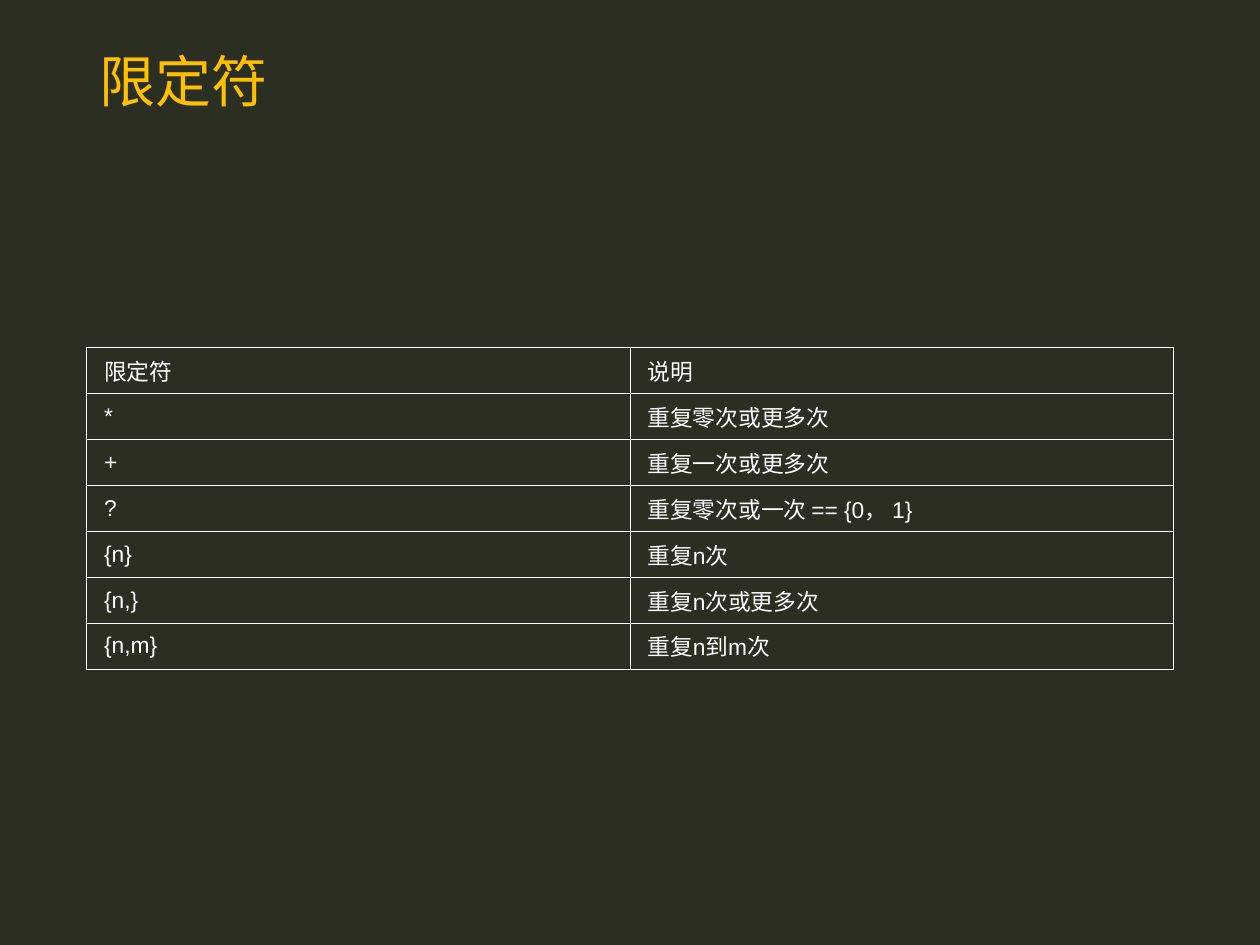
from dataclasses import dataclass

from lxml import etree
from pptx import Presentation
from pptx.dml.color import RGBColor
from pptx.enum.text import MSO_ANCHOR, PP_ALIGN
from pptx.oxml.ns import qn
from pptx.util import Cm, Pt

LEFT = PP_ALIGN.LEFT
MIDDLE = MSO_ANCHOR.MIDDLE


@dataclass
class Theme:
    back: str = "2A2F21"
    gold: str = "FFC000"
    white: str = "FFFFFF"
    latin: str = "Arial"
    asian: str = "Noto Sans CJK SC"
    head: float = 32
    body: float = 13
    rule: float = 0.45


theme = Theme()


def style(para, size, color, face):
    para.alignment = LEFT
    for run in para.runs:
        font = run.font
        font.size = Pt(size)
        font.bold = False
        font.color.rgb = RGBColor.from_string(color)
        font.name = face
        etree.SubElement(run._r.get_or_add_rPr(), qn("a:ea"), typeface=theme.asian)


def border(cell):
    props = cell._tc.get_or_add_tcPr()
    for spot, side in enumerate(("lnL", "lnR", "lnT", "lnB")):
        line = etree.Element(qn(f"a:{side}"), w=str(Pt(theme.rule)))
        fill = etree.SubElement(line, qn("a:solidFill"))
        etree.SubElement(fill, qn("a:srgbClr"), val=theme.white)
        props.insert(spot, line)


deck = Presentation()
deck.slide_width, deck.slide_height = Cm(25.4), Cm(19.05)
slide = deck.slides.add_slide(deck.slide_layouts[5])
slide.background.fill.solid()
slide.background.fill.fore_color.rgb = RGBColor.from_string(theme.back)

left, width = Cm(1.75), Cm(21.91)

title = slide.shapes.title
title.left, title.top, title.width, title.height = left, Cm(0.56), width, Cm(2.29)
frame = title.text_frame
frame.text = "限定符"
frame.vertical_anchor = MIDDLE
frame.paragraphs[0].line_spacing = 0.9
style(frame.paragraphs[0], theme.head, theme.gold, theme.asian)

rows = [
    ("限定符", "说明"),
    ("*", "重复零次或更多次"),
    ("+", "重复一次或更多次"),
    ("?", "重复零次或一次 == {0， 1}"),
    ("{n}", "重复n次"),
    ("{n,}", "重复n次或更多次"),
    ("{n,m}", "重复n到m次"),
]
table = slide.shapes.add_table(
    len(rows), len(rows[0]), left, Cm(7.01), width, Cm(6.48)
).table
table.first_row = False
table.horz_banding = False
for r, row in enumerate(rows):
    for c, text in enumerate(row):
        cell = table.cell(r, c)
        cell.text_frame.text = text
        cell.vertical_anchor = MIDDLE
        cell.margin_left = cell.margin_right = Cm(0.35)
        cell.margin_top = cell.margin_bottom = Cm(0.13)
        cell.fill.background()
        border(cell)
        style(cell.text_frame.paragraphs[0], theme.body, theme.white, theme.latin)

deck.save("out.pptx")
